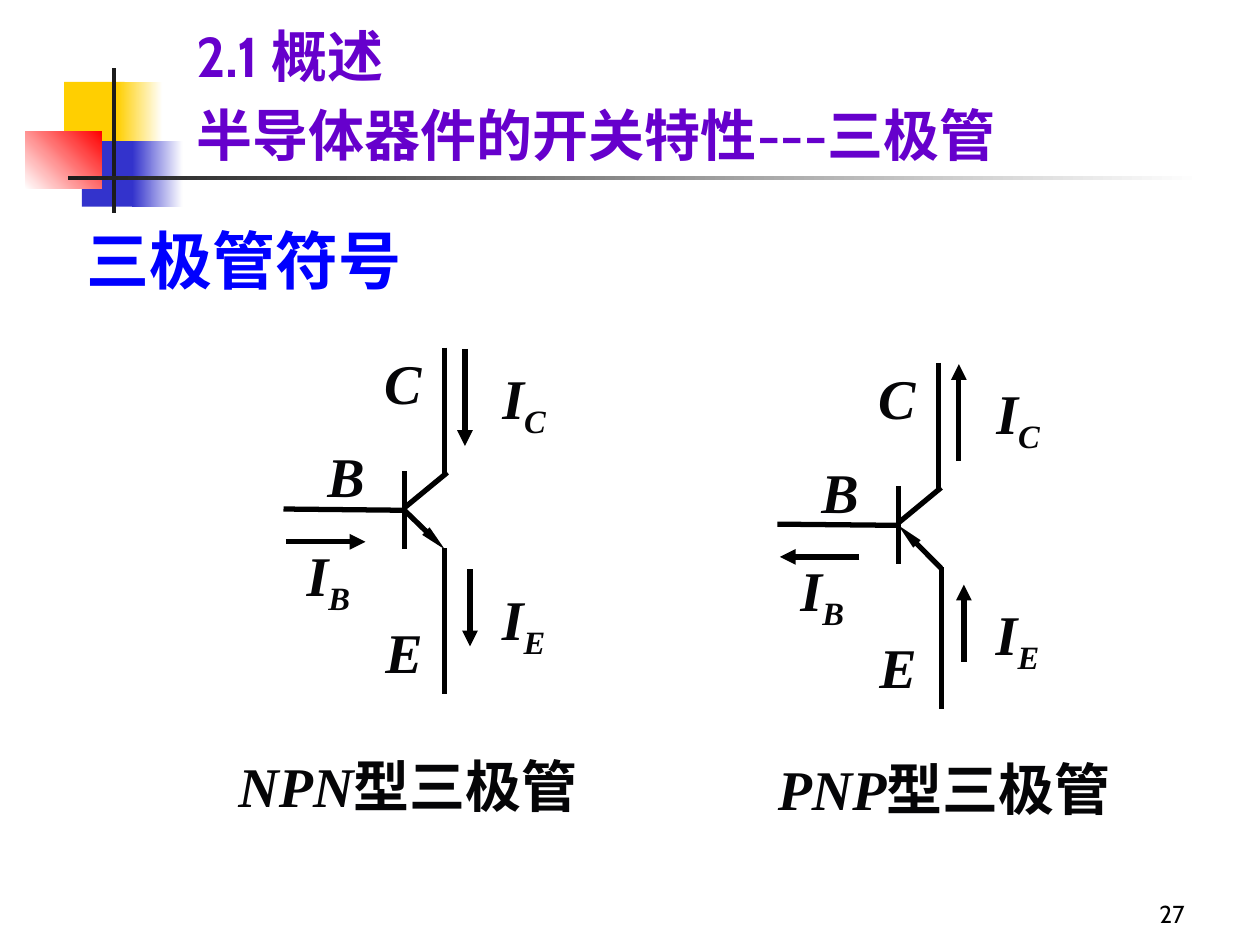
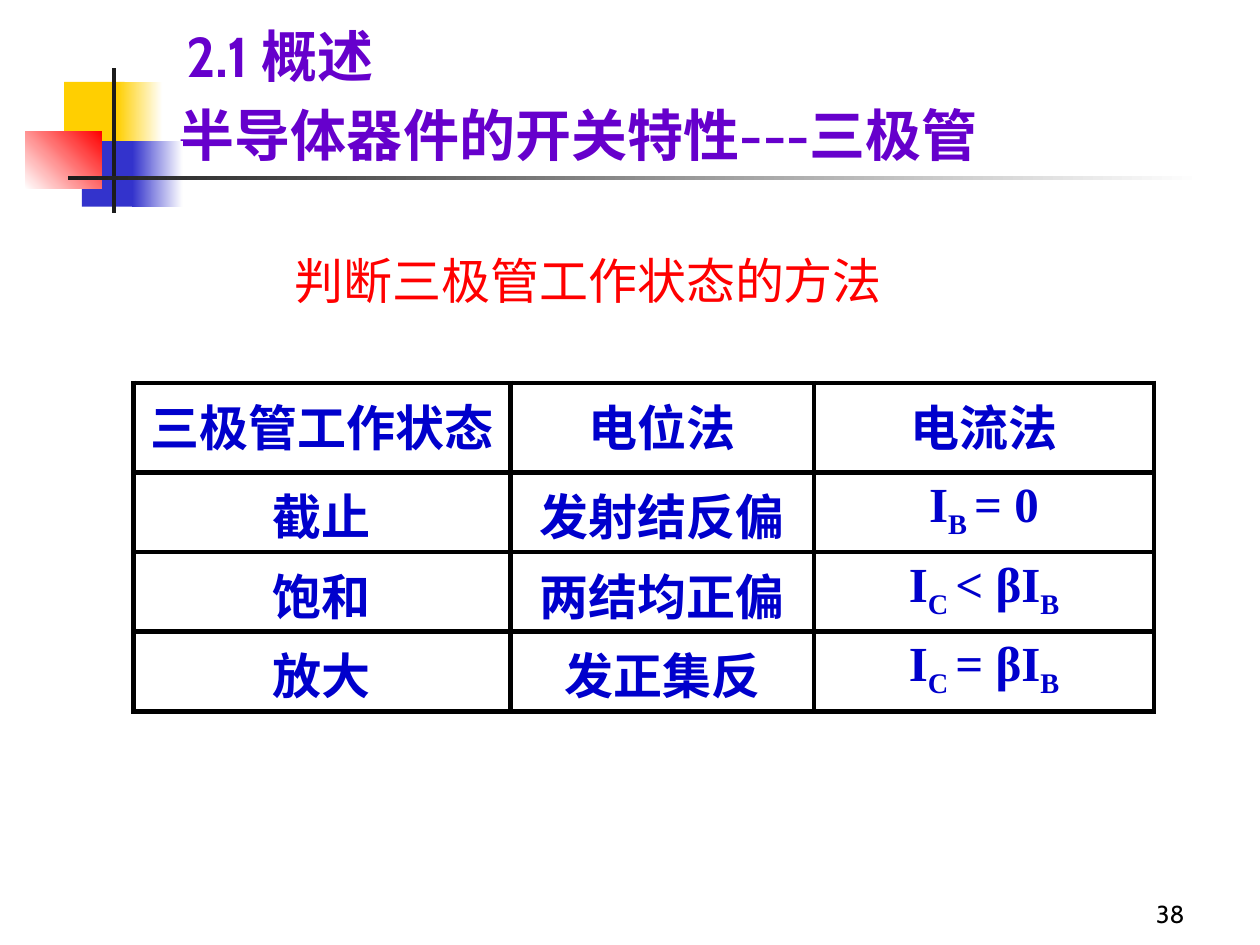
from lxml import etree
from pptx import Presentation
from pptx.dml.color import RGBColor
from pptx.enum import shapes, text
from pptx.oxml import ns
from pptx.util import Inches, Pt

HUE = {
    "gold": "FFCF01", "blue": "3333CC", "red": "FF0000", "white": "FFFFFF",
    "dark": "1C1C1C", "title": "6600CC", "head": "0000FF", "cell": "0000CC",
    "ink": "050507", "black": "000000",
}
CJK, SANS, SERIF = "Noto Sans CJK SC", "Cabin", "Times New Roman"
LEFT, MID, RIGHT = text.PP_ALIGN.LEFT, text.PP_ALIGN.CENTER, text.PP_ALIGN.RIGHT
TOP, CORE, BASE = (text.MSO_ANCHOR.TOP, text.MSO_ANCHOR.MIDDLE,
                   text.MSO_ANCHOR.BOTTOM)
TOPIC = "半导体器件的开关特性---三极管"

# left, top, width, height, start colour, end colour, angle
BANDS = [
    (0.51, 0.65, 0.48, 0.52, "gold", None, 0),
    (0.93, 0.65, 0.36, 0.52, "gold", "white", 0),
    (0.65, 1.12, 0.46, 0.52, "blue", None, 0),
    (1.05, 1.12, 0.40, 0.52, "blue", "white", 0),
    (0.20, 1.04, 0.61, 0.46, "white", "red", 45),
    (0.89, 0.54, 0.03, 1.15, "dark", None, 0),
    (0.54, 1.40, 9.00, 0.03, "dark", "white", 0),
]
STATES = [
    [["三极管工作状态"], ["电位法"], ["电流法"]],
    [["截止"], ["发射结反偏"], ["I", "_B ", "= 0"]],
    [["饱和"], ["两结均正偏"], ["I", "_C ", "< βI", "_B"]],
    [["放大"], ["发正集反"], ["I", "_C ", "= βI", "_B"]],
]


def rgb(name):
    return RGBColor.from_string(HUE[name])


def inch(nums):
    return [Inches(n) for n in nums]


def tag(owner, name, **attrs):
    return etree.SubElement(owner, ns.qn(name), attrs)


def write(para, parts, size, hue, font=SERIF, bold=True, slant=False, align=LEFT):
    """Fill a paragraph with runs; a part that starts with _ is a subscript."""
    para.alignment = align
    for part in parts:
        run = para.add_run()
        run.text = part.lstrip("_")
        face = run.font
        face.size, face.bold, face.italic = Pt(size), bold, slant
        face.name = font
        face.color.rgb = rgb(hue)
        props = run._r.get_or_add_rPr()
        tag(props, "a:ea", typeface=CJK)
        if part.startswith("_"):
            props.set("baseline", "-25000")


def put(slide, at, parts, size, hue, anchor=CORE, wrap=True, **style):
    frame = slide.shapes.add_textbox(*inch(at)).text_frame
    frame.word_wrap = wrap
    frame.vertical_anchor = anchor
    write(frame.paragraphs[0], parts, size, hue, **style)
    return frame


def band(slide, left, top, width, height, start, end, angle):
    box = slide.shapes.add_shape(shapes.MSO_SHAPE.RECTANGLE,
                                 *inch((left, top, width, height)))
    box.shadow.inherit = False
    box.line.fill.background()
    if end is None:
        box.fill.solid()
        box.fill.fore_color.rgb = rgb(start)
        return
    box.fill.gradient()
    box.fill.gradient_angle = angle
    for stop, hue in zip(box.fill.gradient_stops, (start, end)):
        stop.color.rgb = rgb(hue)


def start(deck, number, left, title_left):
    """Add a slide with the shared bands, section line, title and number."""
    slide = deck.slides.add_slide(deck.slide_layouts[5])
    for row in BANDS:
        band(slide, *row)
    title = slide.shapes.title
    title.left, title.top, title.width, title.height = inch(
        (title_left, 0.76, 8.4, 0.62))
    frame = title.text_frame
    frame.auto_size = text.MSO_AUTO_SIZE.NONE
    frame.word_wrap = True
    frame.vertical_anchor = BASE
    write(frame.paragraphs[0], [TOPIC], 32, "title", font=SANS)
    put(slide, (left, 0.13, 8.19, 0.62), ["2.1 概述"], 32, "title",
        BASE, font=SANS)
    put(slide, (7.42, 6.92, 2.08, 0.5), [str(number)], 14, "black", BASE,
        font=SANS, bold=False, align=RIGHT)
    return slide


def wire(slide, begin, end, tip=None):
    """Draw a line; tip holds the width and length of an arrowhead."""
    link = slide.shapes.add_connector(shapes.MSO_CONNECTOR.STRAIGHT,
                                      *inch(begin + end))
    link.line.color.rgb = rgb("black")
    link.line.width = Pt(3)
    if tip:
        tag(link.line._get_or_add_ln(), "a:tailEnd", type="triangle",
            w=tip[0], len=tip[1])
    tag(link._element.spPr, "a:effectLst")


def symbol(slide, dx, dy, foot, flip):
    """Draw a transistor; flip turns every current arrow round."""
    def draw(begin, end, tip=None):
        ends = [(x + dx, y + dy) for x, y in (begin, end)]
        if tip and flip:
            ends.reverse()
        wire(slide, *ends, tip)

    def label(left, top, width, *parts):
        put(slide, (left + dx, top + dy, width, 0.63), parts, 32, "ink",
            wrap=False, slant=True, align=MID)

    draw((2.25, 4.04), (3.23, 4.05))
    draw((3.21, 3.74), (3.21, 4.36))
    draw((3.21, 4.03), (3.55, 3.75))
    draw((3.53, 2.76), (3.53, 3.77))
    draw((3.21, 4.05), foot, ("sm", "lg"))
    draw((foot[0], foot[1] - 0.01), (foot[0], 5.51))
    for begin, end in [((2.27, 4.3), (2.9, 4.3)),
                       ((3.73, 4.52), (3.73, 5.13)),
                       ((3.69, 2.77), (3.69, 3.54))]:
        draw(begin, end, ("med", "med"))
    label(2.5, 3.46, 0.49, "B")
    label(2.96, 4.85, 0.49, "E")
    label(2.95, 2.72, 0.49, "C")
    label(2.32, 4.28, 0.57, "I", "_B")
    label(3.85, 4.63, 0.61, "I", "_E")
    label(3.71, 2.87, 0.9, "I", "_C")


def caption(slide, left, top, width, kind):
    frame = put(slide, (left, top, width, 0.63), [kind, "型三极管"], 32, "ink",
                slant=True, align=MID)
    frame.paragraphs[0].runs[1].font.italic = False


def edge(cell):
    """Give a cell a black border on all sides."""
    props = cell._tc.get_or_add_tcPr()
    for spot, side in enumerate(("a:lnL", "a:lnR", "a:lnT", "a:lnB")):
        line = tag(props, side, w=str(Pt(3)))
        tag(tag(line, "a:solidFill"), "a:srgbClr", val=HUE["black"])
        props.insert(spot, line)


def grid(slide, at, widths, heights, rows):
    table = slide.shapes.add_table(len(rows), len(widths), *inch(at)).table
    table.first_row = table.horz_banding = False
    for col, width in zip(table.columns, widths):
        col.width = Inches(width)
    for row, height, line in zip(table.rows, heights, rows):
        row.height = Inches(height)
        for cell, parts in zip(row.cells, line):
            cell.fill.background()
            edge(cell)
            write(cell.text_frame.paragraphs[0], parts, 28, "cell", align=MID)


def signs(deck):
    slide = start(deck, 27, 1.46, 1.46)
    symbol(slide, 0, 0, (3.53, 4.36), False)
    caption(slide, 1.79, 5.92, 2.9, "NPN")
    symbol(slide, 3.92, 0.12, (3.55, 4.39), True)
    caption(slide, 6.07, 5.94, 2.85, "PNP")
    put(slide, (0.59, 1.7, 3.06, 0.71), ["三极管符号"], 36, "head")


def modes(deck):
    slide = start(deck, 38, 1.38, 1.32)
    put(slide, (2.24, 1.94, 5.12, 0.57), ["判断三极管工作状态的方法"], 28, "red",
        TOP, font="Arial", bold=False)
    grid(slide, (1.06, 3.04, 8.1, 2.6), (2.99, 2.41, 2.7),
         (0.71, 0.63, 0.63, 0.63), STATES)


def main():
    deck = Presentation()
    deck.slide_width, deck.slide_height = Inches(10), Inches(7.5)
    signs(deck)
    modes(deck)
    deck.save("out.pptx")


if __name__ == "__main__":
    main()
